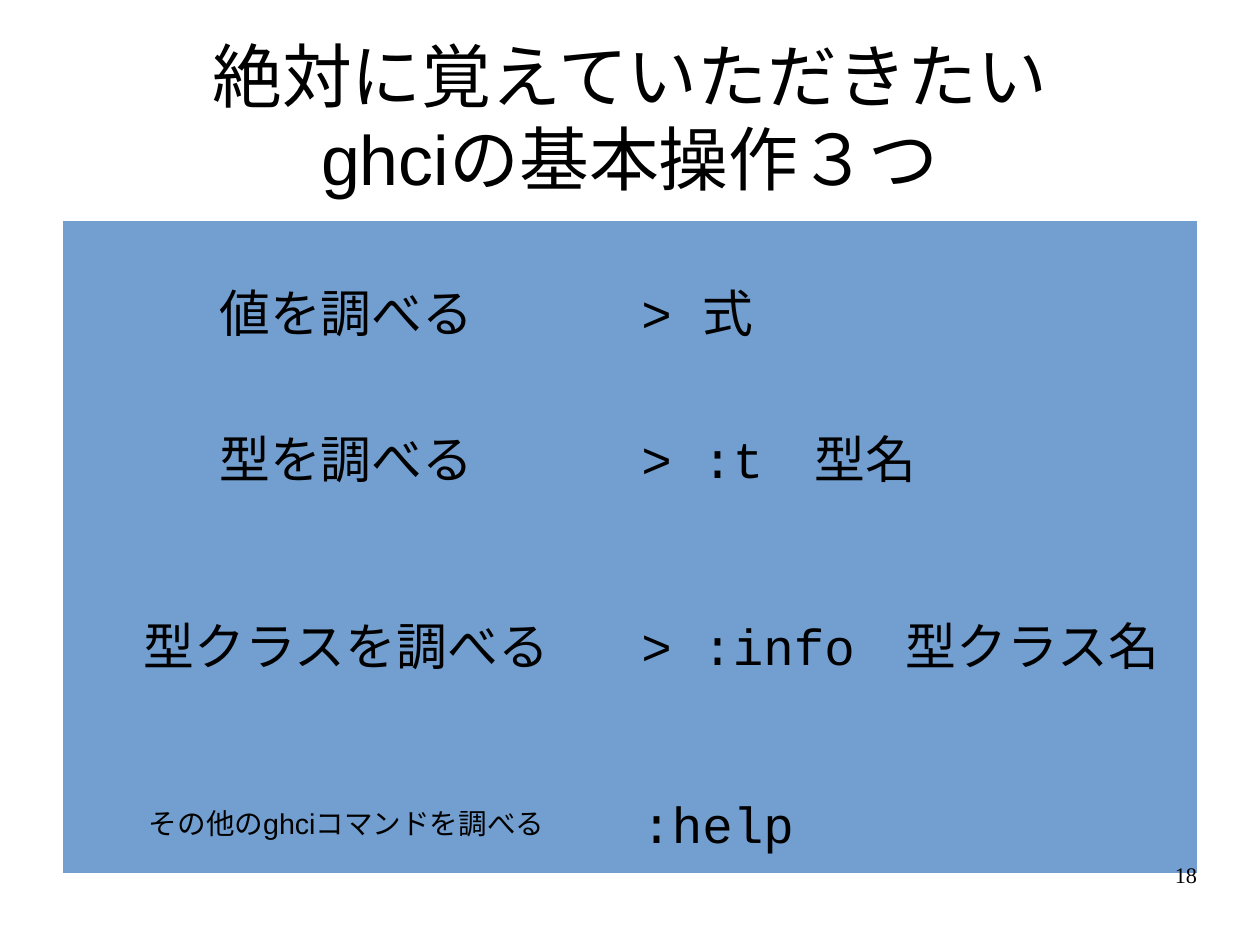
from dataclasses import dataclass

from pptx import Presentation
from pptx.dml.color import RGBColor
from pptx.enum.lang import MSO_LANGUAGE_ID as Lang
from pptx.enum.text import MSO_ANCHOR, MSO_AUTO_SIZE, PP_ALIGN
from pptx.oxml.ns import qn
from pptx.util import Emu, Pt

PX = 8000  # EMU; the slide is 1260 by 945 px
BLACK = RGBColor(0x00, 0x00, 0x00)
BLUE = RGBColor(0x72, 0x9F, 0xCF)
NO_GRID_STYLE = "{2D5ABB26-0587-4C30-8999-92F81FD0307C}"
LEFT, WIDTH = 63, 1134


@dataclass(frozen=True)
class CommandRow:
    height: int
    purpose: str = ""
    command: str = ""
    purpose_size: int = 32


TITLE_LINES = ["絶対に覚えていただきたい", "ghciの基本操作３つ"]
ROWS = [
    CommandRow(46),
    CommandRow(146, "値を調べる", "> 式"),
    CommandRow(187, "型を調べる", "> :t　型名"),
    CommandRow(195, "型クラスを調べる", "> :info　型クラス名"),
    CommandRow(78, "その他のghciコマンドを調べる", ":help", 18),
]


def px(n: int) -> Emu:
    return Emu(n * PX)


def add_run(p, text: str, size: int, font: str) -> None:
    r = p.add_run()
    r.text = text
    r.font.size = Pt(size)
    r.font.name = font
    r.font.color.rgb = BLACK
    r.font.language_id = Lang.JAPANESE


def clear_margins(tf) -> None:
    tf.margin_left = tf.margin_right = tf.margin_top = tf.margin_bottom = 0
    tf.word_wrap = True


def fill_title(title) -> None:
    title.left, title.top = px(LEFT), px(15)
    title.width, title.height = px(WIDTH), px(202)
    tf = title.text_frame
    clear_margins(tf)
    tf.auto_size = MSO_AUTO_SIZE.NONE
    tf.vertical_anchor = MSO_ANCHOR.MIDDLE
    p = tf.paragraphs[0]
    p.alignment = PP_ALIGN.CENTER
    for i, line in enumerate(TITLE_LINES):
        if i:
            p.add_line_break()
        add_run(p, line, 44, "Arial")


def fill_cell(cell, text: str, size: int, font: str, align: PP_ALIGN) -> None:
    cell.fill.solid()
    cell.fill.fore_color.rgb = BLUE
    if text:
        p = cell.text_frame.paragraphs[0]
        p.alignment = align
        add_run(p, text, size, font)


def add_command_table(s) -> None:
    height = sum(row.height for row in ROWS)
    frame = s.shapes.add_table(len(ROWS), 2, px(LEFT), px(221), px(WIDTH), px(height))
    table = frame.table
    table.first_row = table.horz_banding = False
    style = frame._element.find(".//" + qn("a:tableStyleId"))
    style.text = NO_GRID_STYLE
    for i, row in enumerate(ROWS):
        table.rows[i].height = px(row.height)
        fill_cell(table.cell(i, 0), row.purpose, row.purpose_size, "Arial", PP_ALIGN.CENTER)
        fill_cell(table.cell(i, 1), row.command, 32, "Courier New", PP_ALIGN.LEFT)


def add_page_number(s) -> None:
    tf = s.shapes.add_textbox(px(903), px(861), px(294), px(65)).text_frame
    clear_margins(tf)
    p = tf.paragraphs[0]
    p.alignment = PP_ALIGN.RIGHT
    add_run(p, "18", 14, "Times New Roman")


def main() -> None:
    prs = Presentation()
    prs.slide_width, prs.slide_height = px(1260), px(945)
    s = prs.slides.add_slide(prs.slide_layouts[5])
    fill_title(s.shapes.title)
    add_command_table(s)
    add_page_number(s)
    prs.save("out.pptx")


if __name__ == "__main__":
    main()
